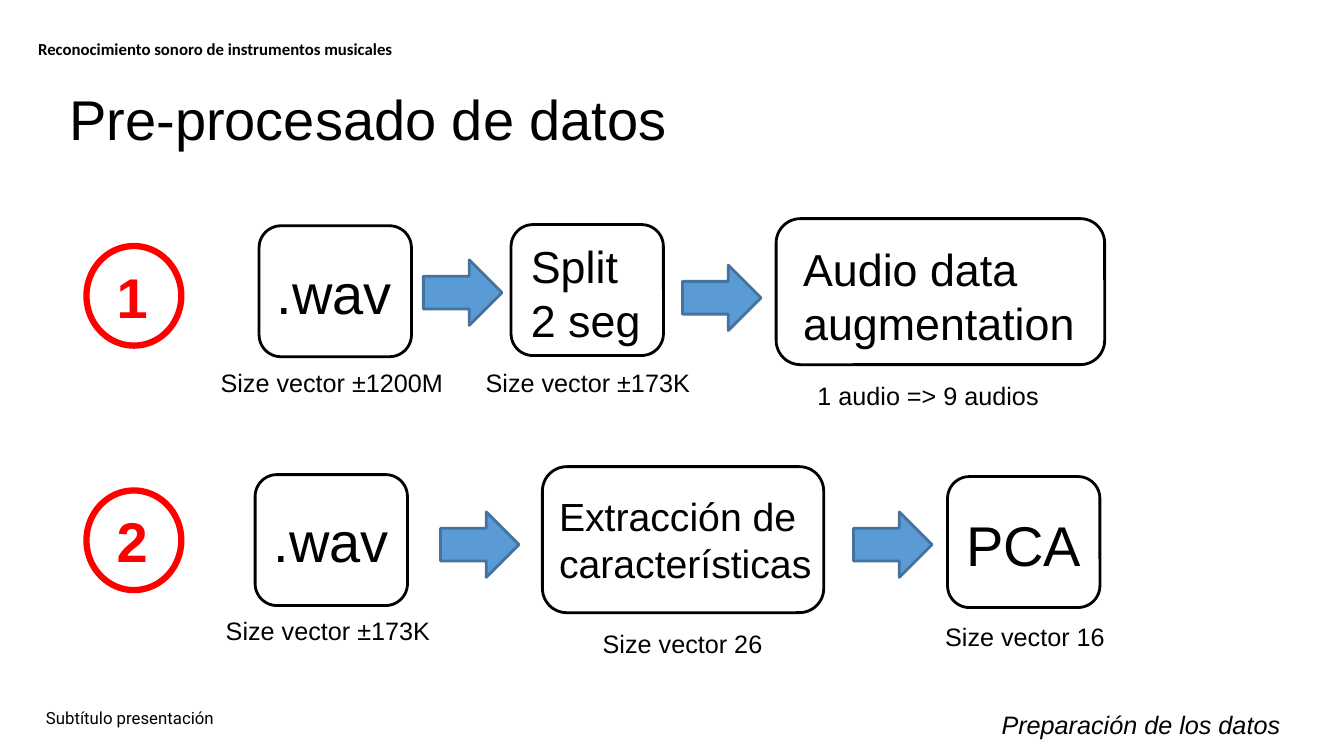
from pptx import Presentation
from pptx.dml.color import RGBColor
from pptx.enum.shapes import MSO_SHAPE
from pptx.enum.text import MSO_ANCHOR
from pptx.util import Cm, Pt

COLORS = {"black": "000000", "red": "FF0000", "blue": "5B9BD5", "navy": "43739E"}

deck = Presentation()
deck.slide_width, deck.slide_height = Cm(33.87), Cm(19.05)
page = deck.slides.add_slide(deck.slide_layouts[6])


def add_text(text, left, top, width, height, size, color="black", font="Arial",
             bold=False, italic=False, anchor=MSO_ANCHOR.TOP, spacing=1.0):
    box = page.shapes.add_textbox(Cm(left), Cm(top), Cm(width), Cm(height))
    frame = box.text_frame
    frame.word_wrap = True
    frame.vertical_anchor = anchor
    para = frame.paragraphs[0]
    para.line_spacing = spacing
    for number, line in enumerate(text.split("\n")):
        if number:
            para.add_line_break()
        span = para.add_run()
        span.text = line
        span.font.name = font
        span.font.size = Pt(size)
        span.font.bold = bold
        span.font.italic = italic
        span.font.color.rgb = RGBColor.from_string(COLORS[color])


def add_figure(kind, left, top, width, height, line, weight=2, fill=None):
    figure = page.shapes.add_shape(kind, Cm(left), Cm(top), Cm(width), Cm(height))
    figure.shadow.inherit = False
    figure.line.color.rgb = RGBColor.from_string(COLORS[line])
    figure.line.width = Pt(weight)
    if fill:
        figure.fill.solid()
        figure.fill.fore_color.rgb = RGBColor.from_string(COLORS[fill])
    else:
        figure.fill.background()


# Header, title and footer
add_text("Reconocimiento sonoro de instrumentos musicales", 0.71, 0.86, 11.56, 0.79, 12,
         font="Calibri", bold=True, anchor=MSO_ANCHOR.MIDDLE, spacing=0.9)
add_text("Pre-procesado de datos", 1.5, 2.01, 26.01, 1.83, 40)
add_text("Subtítulo presentación", 0.91, 17.75, 11.43, 0.76, 12,
         font="Roboto", anchor=MSO_ANCHOR.MIDDLE, spacing=0.9)
add_text("Preparación de los datos", 24.99, 17.75, 8.8, 1.02, 18, italic=True)

# Process steps: frame, label with its place and size, caption with its place
SMALL, WIDE, MEDIUM = (3.84, 3.3), (8.28, 3.68), (7.09, 3.68)
steps = [
    ((6.53, 5.69), SMALL, ".wav", (6.73, 6.38, 4.78, 1.96), 40,
     "Size vector ±1200M", (5.31, 9.14)),
    ((12.88, 5.66), SMALL, "Split\n2 seg", (13.13, 5.89, 3.58, 3), 32,
     "Size vector ±173K", (11.99, 9.12)),
    ((19.56, 5.51), WIDE, "Audio data augmentation", (19.99, 5.97, 8.23, 3), 32,
     "1 audio => 9 audios", (20.35, 9.45)),
    ((6.43, 11.96), SMALL, ".wav", (6.65, 12.65, 4.78, 1.96), 40,
     "Size vector ±173K", (5.44, 15.37)),
    ((13.67, 11.76), MEDIUM, "Extracción de características", (13.84, 12.27, 6.95, 2.64), 28,
     "Size vector 26", (14.94, 15.72)),
    ((23.88, 12.01), SMALL, "PCA", (24.1, 12.75, 4.78, 1.96), 40,
     "Size vector 16", (23.57, 15.54)),
]
for corner, extent, label, label_area, size, caption, caption_corner in steps:
    add_figure(MSO_SHAPE.ROUNDED_RECTANGLE, *corner, *extent, "black")
    add_text(label, *label_area, size)
    add_text(caption, *caption_corner, 6.15, 1.02, 18)

# Arrows between steps
for left, top in [(10.67, 6.55), (17.2, 6.68), (11.1, 12.9), (21.51, 12.9)]:
    add_figure(MSO_SHAPE.RIGHT_ARROW, left, top, 1.98, 1.65, "navy", fill="blue")

# Numbered badges for the two rows
for number, top in [("1", 6.2), ("2", 12.36)]:
    add_figure(MSO_SHAPE.OVAL, 2.18, top, 2.39, 2.51, "red", weight=4.5)
    add_text(number, 2.69, top + 0.28, 4.78, 1.96, 40, color="red", bold=True)

deck.save("out.pptx")
